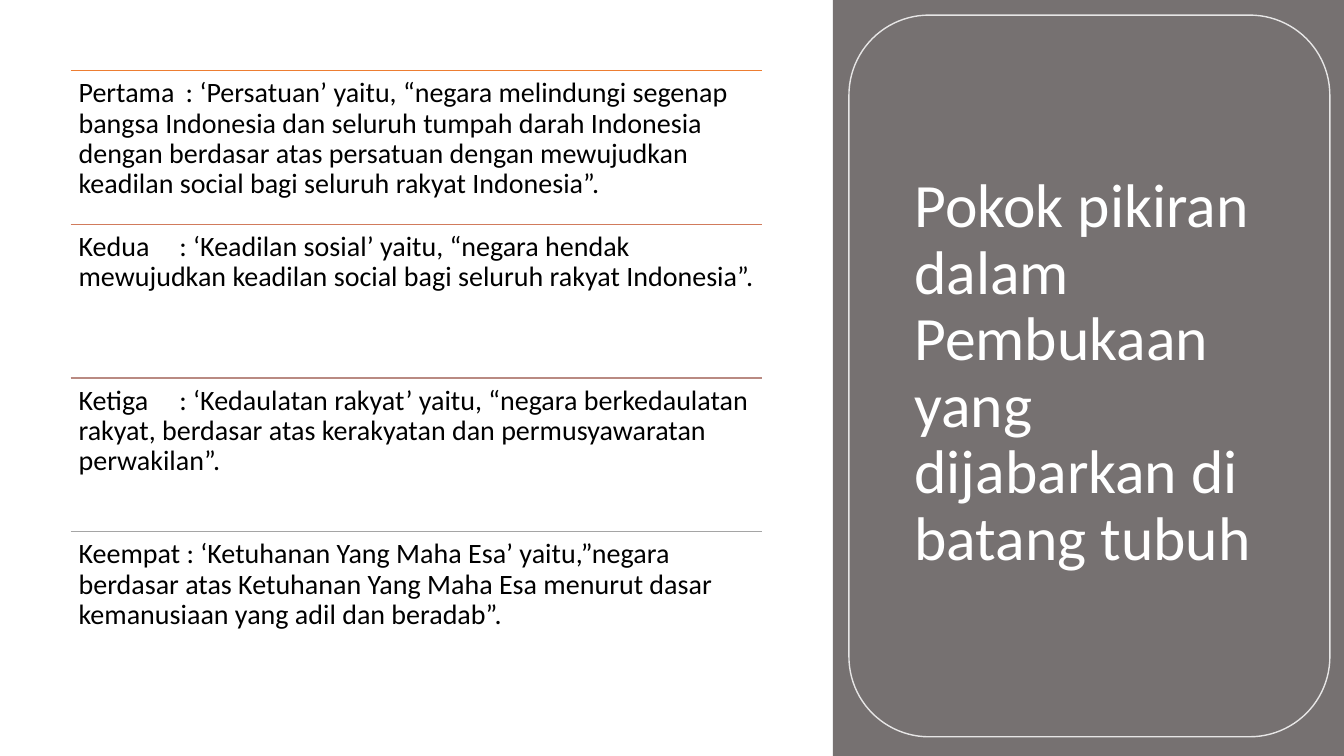
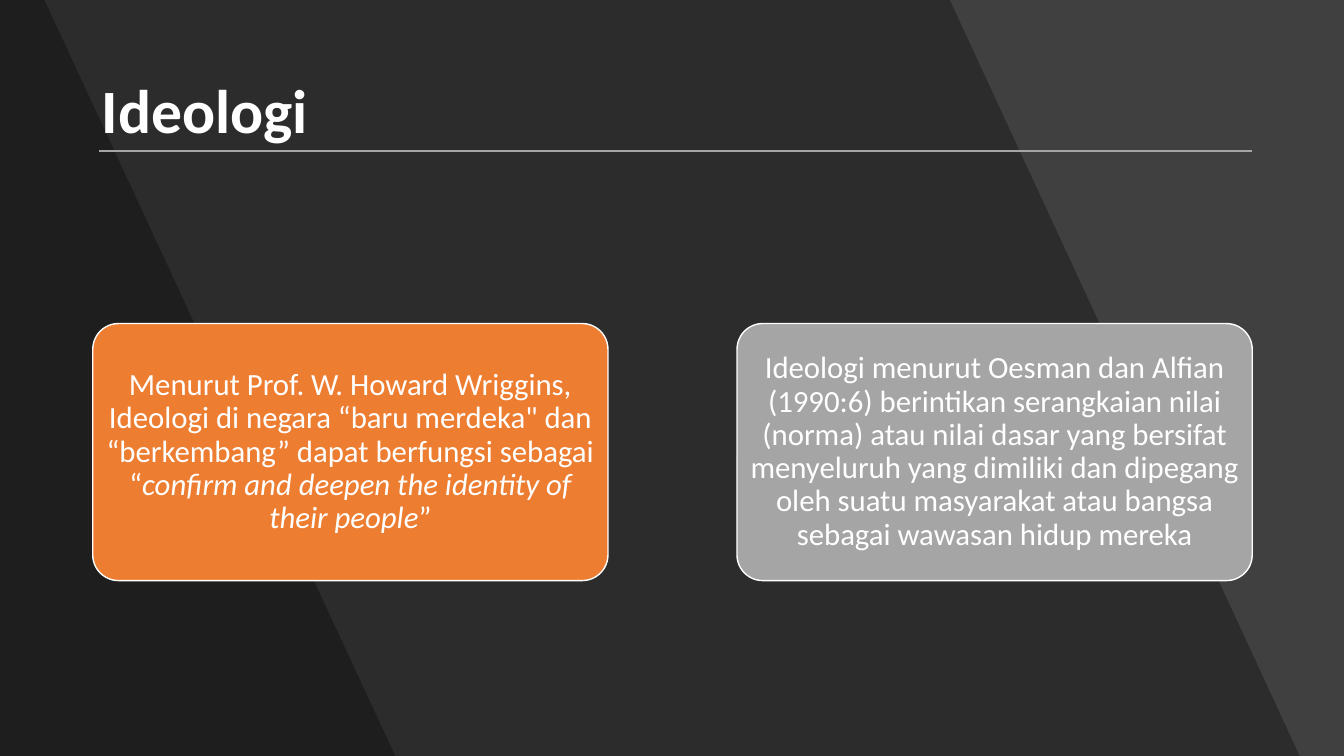
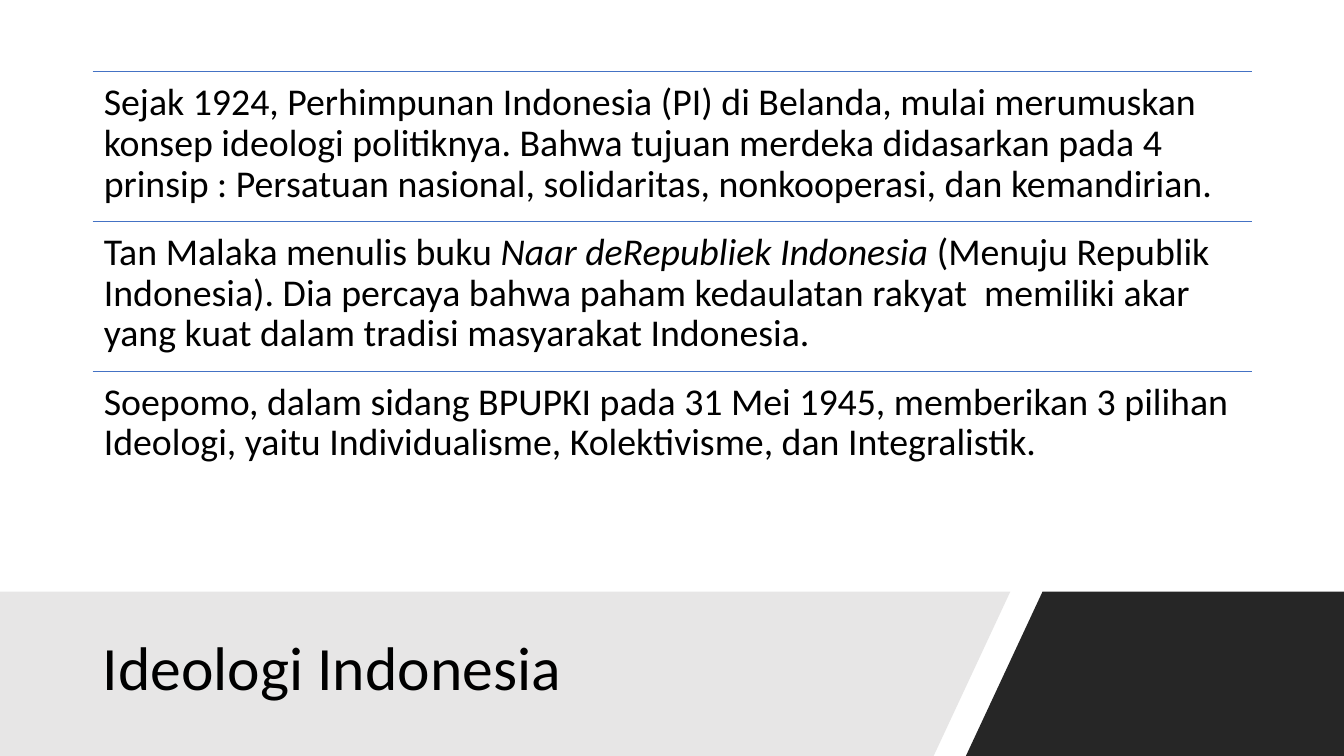
"""Build three slides on the Pancasila principles and ideology."""
from dataclasses import dataclass

from lxml import etree
from pptx import Presentation
from pptx import util as u
from pptx.dml.color import RGBColor
from pptx.enum import shapes, text
from pptx.oxml.ns import qn


@dataclass(frozen=True)
class Theme:
    """Colours, font and type sizes of the presentation."""

    font: str = "Calibri"
    line_spacing: float = 0.9
    title_size: int = 44
    white: RGBColor = RGBColor.from_string("FFFFFF")
    black: RGBColor = RGBColor.from_string("000000")
    panel: RGBColor = RGBColor.from_string("767171")
    pale: RGBColor = RGBColor.from_string("E7E6E6")
    dark: RGBColor = RGBColor.from_string("262626")
    slate: RGBColor = RGBColor.from_string("404040")
    orange: RGBColor = RGBColor.from_string("ED7D31")
    copper: RGBColor = RGBColor.from_string("D17B5C")
    rose: RGBColor = RGBColor.from_string("B98A82")
    gray: RGBColor = RGBColor.from_string("A5A5A5")
    blue: RGBColor = RGBColor.from_string("4472C4")


THEME = Theme()


@dataclass(frozen=True)
class Box:
    """A rectangle in inches."""

    left: float
    top: float
    width: float
    height: float

    def lengths(self):
        """Return the four sides as lengths."""
        return tuple(map(u.Inches, (self.left, self.top, self.width, self.height)))


@dataclass(frozen=True)
class Span:
    """A stretch of text in one style."""

    text: str
    italic: bool = False


@dataclass(frozen=True)
class Entry:
    """A text with the colour of its rule or card."""

    color: RGBColor
    spans: tuple[Span, ...]


@dataclass(frozen=True)
class RuledList:
    """Equal rows of text, each under a thin rule."""

    box: Box
    inset: float
    size: int
    entries: tuple[Entry, ...]


PRINCIPLES = RuledList(Box(0.7, 0.7, 6.86, 6.1), 0.08, 20, (
    Entry(THEME.orange, (Span(
        "Pertama\t : ‘Persatuan’ yaitu, “negara melindungi segenap bangsa Indonesia dan seluruh "
        "tumpah darah Indonesia dengan berdasar atas persatuan dengan mewujudkan keadilan social "
        "bagi seluruh rakyat Indonesia”."),)),
    Entry(THEME.copper, (Span(
        "Kedua\t: ‘Keadilan sosial’ yaitu, “negara hendak mewujudkan keadilan social bagi "
        "seluruh rakyat Indonesia”."),)),
    Entry(THEME.rose, (Span(
        "Ketiga\t: ‘Kedaulatan rakyat’ yaitu, “negara berkedaulatan rakyat, berdasar atas "
        "kerakyatan dan permusyawaratan perwakilan”."),)),
    Entry(THEME.gray, (Span(
        "Keempat : ‘Ketuhanan Yang Maha Esa’ yaitu,”negara berdasar atas Ketuhanan Yang Maha Esa "
        "menurut dasar kemanusiaan yang adil dan beradab”."),)),
))

DEFINITIONS = (
    Entry(THEME.orange, (
        Span("Menurut Prof. W. Howard Wriggins, Ideologi di negara “baru merdeka\" dan "
             "“berkembang” dapat berfungsi sebagai “"),
        Span("confirm and deepen the identity of their people", italic=True),
        Span("”"))),
    Entry(THEME.gray, (Span(
        "Ideologi menurut Oesman dan Alfian (1990:6) berintikan serangkaian nilai (norma) atau "
        "nilai dasar yang bersifat menyeluruh yang dimiliki dan dipegang oleh suatu masyarakat "
        "atau bangsa sebagai wawasan hidup mereka"),)),
)

HISTORY = RuledList(Box(0.92, 0.71, 11.5, 4.46), 0.11, 27, (
    Entry(THEME.blue, (Span(
        "Sejak 1924, Perhimpunan Indonesia (PI) di Belanda, mulai merumuskan konsep ideologi "
        "politiknya. Bahwa tujuan merdeka didasarkan pada 4 prinsip : Persatuan nasional, "
        "solidaritas, nonkooperasi, dan kemandirian."),)),
    Entry(THEME.blue, (
        Span("Tan Malaka menulis buku "),
        Span("Naar deRepubliek Indonesia ", italic=True),
        Span("(Menuju Republik Indonesia). Dia percaya bahwa paham kedaulatan rakyat  memiliki "
             "akar yang kuat dalam tradisi masyarakat Indonesia."))),
    Entry(THEME.blue, (Span(
        "Soepomo, dalam sidang BPUPKI pada 31 Mei 1945, memberikan 3 pilihan Ideologi, yaitu "
        "Individualisme, Kolektivisme, dan Integralistik."),)),
))


def new_slide(presentation, background: RGBColor):
    """Add a title-only slide with a plain background."""
    slide = presentation.slides.add_slide(presentation.slide_layouts[5])
    slide.background.fill.solid()
    slide.background.fill.fore_color.rgb = background
    return slide


def write(shape, spans: tuple[Span, ...], size: int, color: RGBColor, inset: tuple[float, float],
          anchor=text.MSO_ANCHOR.TOP, align=text.PP_ALIGN.LEFT, bold: bool = False) -> None:
    """Fill a shape with one paragraph of styled spans."""
    frame = shape.text_frame
    frame.word_wrap = True
    frame.auto_size = text.MSO_AUTO_SIZE.NONE
    frame.vertical_anchor = anchor
    frame.margin_left = frame.margin_right = u.Inches(inset[0])
    frame.margin_top = frame.margin_bottom = u.Inches(inset[1])
    paragraph = frame.paragraphs[0]
    paragraph.alignment = align
    paragraph.line_spacing = THEME.line_spacing
    for span in spans:
        run = paragraph.add_run()
        run.text = span.text
        run.font.name = THEME.font
        run.font.size = u.Pt(size)
        run.font.color.rgb = color
        run.font.bold = bold
        run.font.italic = span.italic


def place_title(slide, wording: str, box: Box, color: RGBColor, bold: bool = False) -> None:
    """Move the title placeholder in front of the backdrop and fill it."""
    title = slide.shapes.title
    title.element.getparent().append(title.element)
    title.left, title.top, title.width, title.height = box.lengths()
    write(title, (Span(wording),), THEME.title_size, color, (0.1, 0.05),
          anchor=text.MSO_ANCHOR.MIDDLE, bold=bold)


def paint(shape, fill: RGBColor | None = None, line: RGBColor | None = None) -> None:
    """Set the fill and outline of a shape and drop its shadow."""
    shape.shadow.inherit = False
    if fill is None:
        shape.fill.background()
    else:
        shape.fill.solid()
        shape.fill.fore_color.rgb = fill
    if line is None:
        shape.line.fill.background()
    else:
        shape.line.color.rgb = line
        shape.line.width = u.Pt(1)


def add_preset(slide, preset, box: Box, fill: RGBColor | None = None,
               line: RGBColor | None = None):
    """Add a painted preset shape."""
    shape = slide.shapes.add_shape(preset, *box.lengths())
    paint(shape, fill, line)
    return shape


def add_polygon(slide, corners: list[tuple[float, float]], fill: RGBColor,
                opacity: int = 100) -> None:
    """Add a filled polygon through corners given in inches."""
    points = [(u.Inches(x), u.Inches(y)) for x, y in corners]
    builder = slide.shapes.build_freeform(*points[0])
    builder.add_line_segments(points[1:], close=True)
    polygon = builder.convert_to_shape()
    paint(polygon, fill)
    if opacity < 100:
        color = polygon.element.spPr.find(qn("a:solidFill"))[0]
        etree.SubElement(color, qn("a:alpha"), val=str(opacity * 1000))


def add_rule(slide, left: float, top: float, width: float, color: RGBColor,
             weight: float = 1) -> None:
    """Add a horizontal line."""
    rule = slide.shapes.add_connector(
        shapes.MSO_CONNECTOR.STRAIGHT,
        *map(u.Inches, (left, top, left + width, top)))
    rule.line.color.rgb = color
    rule.line.width = u.Pt(weight)
    etree.SubElement(rule.element.spPr, qn("a:effectLst"))


def add_ruled_list(slide, ruled: RuledList) -> None:
    """Draw the rows of a ruled list at equal steps."""
    box = ruled.box
    height = box.height / len(ruled.entries)
    for index, entry in enumerate(ruled.entries):
        row = Box(box.left, box.top + index * height, box.width, height)
        add_rule(slide, row.left, row.top, row.width, entry.color)
        textbox = slide.shapes.add_textbox(*row.lengths())
        write(textbox, entry.spans, ruled.size, THEME.black, (ruled.inset, ruled.inset))


def build_principles(presentation) -> None:
    """Build the slide with the four principles."""
    slide = new_slide(presentation, THEME.white)
    add_preset(slide, shapes.MSO_SHAPE.RECTANGLE, Box(8.26, 0, 5.07, 7.5), fill=THEME.panel)
    place_title(slide, "Pokok pikiran dalam Pembukaan yang dijabarkan di batang tubuh",
                Box(8.97, 0.7, 4.01, 6.02), THEME.white)
    add_ruled_list(slide, PRINCIPLES)
    add_preset(slide, shapes.MSO_SHAPE.ROUNDED_RECTANGLE, Box(8.42, 0.15, 4.77, 7.16),
               line=THEME.pale)


def build_definitions(presentation) -> None:
    """Build the slide with two definitions of ideology."""
    slide = new_slide(presentation, THEME.slate)
    for top_right, bottom_right in ((9.42, 12.89), (0.44, 3.92)):
        add_polygon(slide, [(0, 0), (top_right, 0), (bottom_right, 7.5), (0, 7.5)],
                    THEME.black, opacity=30)
    place_title(slide, "Ideologi", Box(0.91, 0.4, 11.51, 1.45), THEME.white, bold=True)
    for index, entry in enumerate(DEFINITIONS):
        card = add_preset(slide, shapes.MSO_SHAPE.ROUNDED_RECTANGLE,
                          Box(0.92 + index * 6.39, 3.21, 5.11, 2.55), entry.color, THEME.white)
        card.adjustments[0] = 0.1
        write(card, entry.spans, 22, THEME.white, (0.05, 0.03),
              text.MSO_ANCHOR.MIDDLE, text.PP_ALIGN.CENTER)
    add_rule(slide, 0.98, 1.5, 11.44, THEME.gray, weight=1.5)


def build_history(presentation) -> None:
    """Build the slide on ideology in Indonesia."""
    slide = new_slide(presentation, THEME.white)
    add_polygon(slide, [(10.34, 5.87), (13.33, 5.87), (13.33, 7.5), (9.58, 7.5)], THEME.dark)
    add_polygon(slide, [(0, 5.87), (10.02, 5.87), (9.26, 7.5), (0, 7.5)], THEME.pale)
    place_title(slide, "Ideologi Indonesia", Box(0.92, 6.05, 8.44, 1.2), THEME.black)
    add_ruled_list(slide, HISTORY)


def main() -> None:
    """Build and save the presentation."""
    presentation = Presentation()
    presentation.slide_width = u.Inches(13.33)
    presentation.slide_height = u.Inches(7.5)
    for build in (build_principles, build_definitions, build_history):
        build(presentation)
    presentation.save("out.pptx")


if __name__ == "__main__":
    main()
